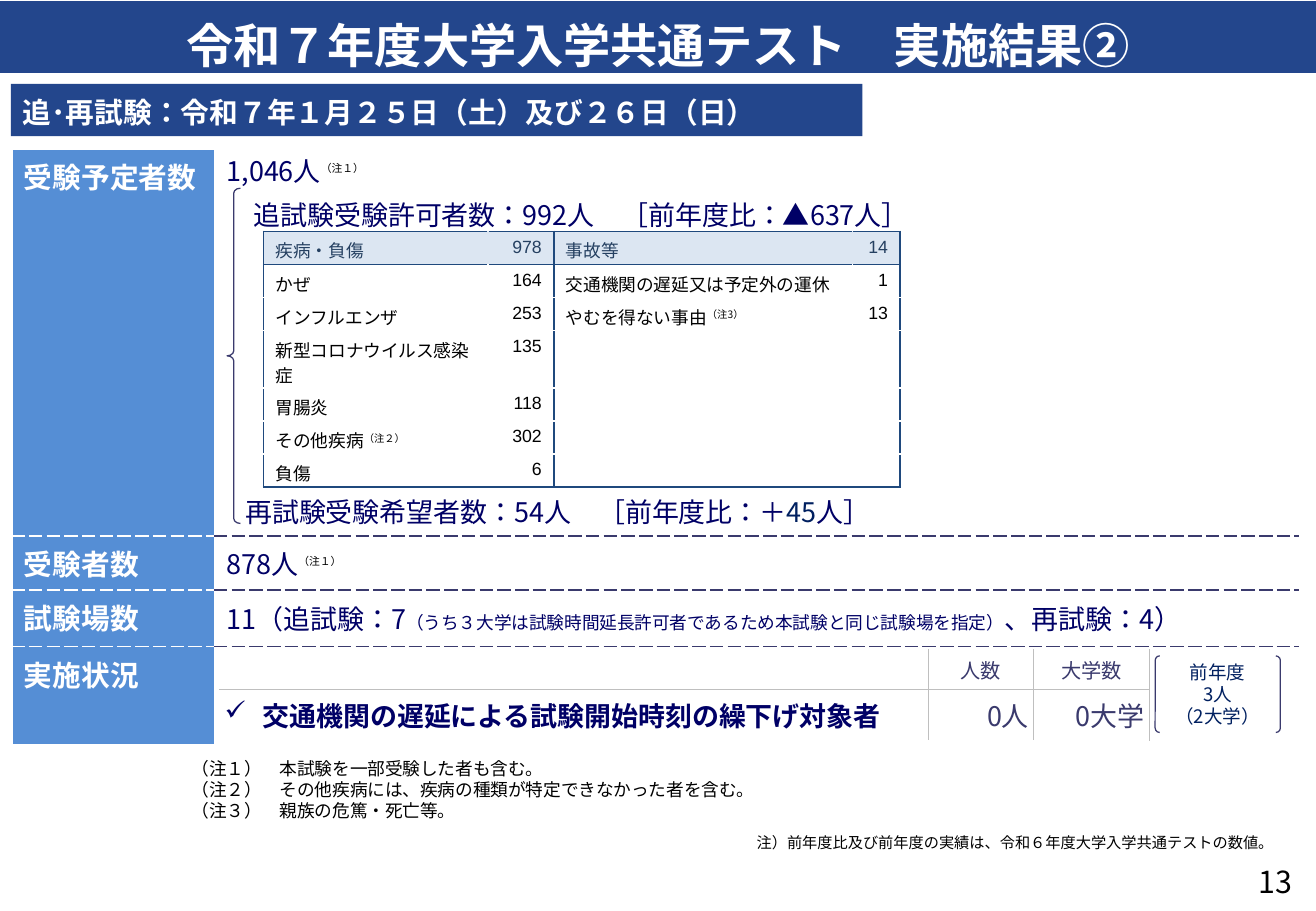
from lxml import etree
from pptx import Presentation
from pptx.dml.color import RGBColor
from pptx.enum import shapes, text
from pptx.oxml.ns import qn
from pptx.util import Pt

JP = "Noto Sans CJK JP"
NAVY, INK, BAR, BLUE = "000066", "3A3A6D", "23468C", "558ED5"
EDGE, GREY, WHITE, BLACK = "1F497D", "BFBFBF", "FFFFFF", "000000"
CENTER, RIGHT = text.PP_ALIGN.CENTER, text.PP_ALIGN.RIGHT
MIDDLE = text.MSO_ANCHOR.MIDDLE
rgb = RGBColor.from_string


def write(tf, *runs, size, color=BLACK, font=JP, bold=False, align=None,
          line=None, before=None, indent=0, hang=0, bullet=None):
    """Add one paragraph; a run is text or (text, changes)."""
    p = tf.paragraphs[0] if not tf.paragraphs[0].runs else tf.add_paragraph()
    p.alignment, p.line_spacing, p.space_before = align, line, before
    pPr = p._p.get_or_add_pPr()
    if indent:
        pPr.set("marL", str(Pt(indent)))
        pPr.set("indent", str(Pt(-hang)))
    if bullet:
        etree.SubElement(pPr, qn("a:buChar"), char=bullet)
    if not runs:
        etree.SubElement(p._p, qn("a:endParaRPr"), sz=str(int(size * 100)))
    for run in runs:
        words, change = (run, {}) if isinstance(run, str) else run
        r = p.add_run()
        r.text = words
        r.font.size = Pt(change.get("size", size))
        r.font.bold = bold
        r.font.name = change.get("font", font)
        r.font.color.rgb = rgb(change.get("color", color))
        rPr = r._r.get_or_add_rPr()
        rPr.set("lang", "ja-JP")
        etree.SubElement(rPr, qn("a:ea"), typeface=JP)
        if "base" in change:
            rPr.set("baseline", str(change["base"] * 1000))


def style_cell(cell, fill=None, width=1, dash="solid", **sides):
    """Set borders (L, R, T, B = colour), then the fill."""
    tcPr = cell._tc.get_or_add_tcPr()
    for side in "LRTB":
        if side in sides:
            ln = etree.SubElement(tcPr, qn("a:ln" + side), w=str(Pt(width)))
            solid = etree.SubElement(ln, qn("a:solidFill"))
            etree.SubElement(solid, qn("a:srgbClr"), val=sides[side])
            etree.SubElement(ln, qn("a:prstDash"), val=dash)
    if fill:
        cell.fill.solid()
        cell.fill.fore_color.rgb = rgb(fill)
    else:
        cell.fill.background()


prs = Presentation()
prs.slide_width, prs.slide_height = Pt(780), Pt(540)
s = prs.slides.add_slide(prs.slide_layouts[5])

# Title bar
title = s.shapes.title
title.left, title.top, title.width, title.height = Pt(0), Pt(0.7), Pt(780), Pt(42.5)
title.fill.solid()
title.fill.fore_color.rgb = rgb(BAR)
tf = title.text_frame
tf.vertical_anchor = text.MSO_ANCHOR.BOTTOM
tf.margin_top = tf.margin_bottom = Pt(0)
write(tf, "令和７年度大学入学共通テスト　実施結果②", size=28, color=WHITE,
      bold=True, align=CENTER)

# Tables: position, column widths, row heights
grids = []
for x, y, cols, rows in (
        (7, 88.4, (120.2, 642.3), (228.9, 31.7, 33.6, 58.3)),
        (156.2, 137.2, (133.2, 38.9, 177.1, 28.1),
         (19.6, 19.6, 19.6, 32.8, 19.6, 19.6, 19.6)),
        (130.3, 385.2, (419.8, 62.6, 68.4), (23.4, 30.4))):
    frame = s.shapes.add_table(len(rows), len(cols), Pt(x), Pt(y),
                               Pt(sum(cols)), Pt(sum(rows)))
    tbl = frame.table
    tbl.first_row = tbl.horz_banding = False
    for col, w in zip(tbl.columns, cols):
        col.width = Pt(w)
    for row, h in zip(tbl.rows, rows):
        row.height = Pt(h)
    grids.append(tbl)
main, reasons, status = grids

# Main table
for i, label in enumerate(("受験予定者数", "受験者数", "試験場数", "実施状況")):
    for j, (fill, edge) in enumerate(((BLUE, WHITE), (WHITE, INK))):
        sides = {}
        if i:
            sides["T"] = edge
        if i < 3:
            sides["B"] = edge
        style_cell(main.cell(i, j), fill, dash="dash", **sides)
    write(main.cell(i, 0).text_frame, label, size=17, color=WHITE, bold=True)
    if i in (1, 2):
        main.cell(i, 1).vertical_anchor = MIDDLE
note1 = ("（注１）", dict(size=11, color=BLACK, base=50))
body = dict(size=16, color=NAVY)
tf = main.cell(0, 1).text_frame
write(tf, "1,046人", note1, line=Pt(20), **body)
write(tf, "追試験受験許可者数：992人　［前年度比：▲637人］",
      line=Pt(20), before=Pt(6), indent=16, **body)
write(tf, "再試験受験希望者数：54人　［前年度比：＋", ("45", dict(color="002060")), "人］",
      line=Pt(20), before=Pt(156), indent=11, **body)
write(main.cell(1, 1).text_frame, "878人", note1, **body)
write(main.cell(2, 1).text_frame, "11（追試験：7",
      ("（うち３大学は試験時間延長許可者であるため本試験と同じ試験場を指定）", dict(size=10.5)),
      "、再試験：4）", **body)
write(main.cell(3, 1).text_frame, size=16)

# Reasons for the make-up test
small = dict(font=JP, base=30)
rows = (
    (["疾病・負傷"], ["978"], ["事故等"], ["14"]),
    (["かぜ"], ["164"], ["交通機関の遅延又は予定外の運休"], ["1"]),
    (["インフルエンザ"], ["253"], ["やむを得ない事由", ("（注3）", small)], ["13"]),
    (["新型コロナウイルス感染症"], ["135"], [], []),
    (["胃腸炎"], ["118"], [], []),
    (["その他疾病", ("（注２）", small)], ["302"], [], []),
    (["負傷"], ["6"], [], []),
)
for i, row in enumerate(rows):
    for j, runs in enumerate(row):
        cell = reasons.cell(i, j)
        cell.margin_bottom = Pt(0)
        inner = WHITE if i else "DCE6F2"
        style_cell(cell, None if i else "DCE6F2",
                   L=inner if j % 2 else EDGE, R=EDGE if j % 2 else inner,
                   T=EDGE if i < 2 else WHITE, B=EDGE if i in (0, 6) else WHITE)
        write(cell.text_frame, *runs, size=10.5, font="Arial",
              color=BLACK if i else "254061", align=RIGHT if j % 2 else None)

# Status table
for i, row in enumerate((("", "人数", "大学数"),
                         ("交通機関の遅延による試験開始時刻の繰下げ対象者", "0人", "0大学"))):
    for j, words in enumerate(row):
        cell = status.cell(i, j)
        cell.vertical_anchor = MIDDLE
        cell.margin_left = cell.margin_right = Pt(2.9)
        cell.margin_top = cell.margin_bottom = Pt(2.9)
        sides = dict(R=GREY, **({"T": GREY} if i else {"B": GREY}))
        if j:
            sides["L"] = GREY
        style_cell(cell, WHITE, width=0.5, **sides)
        if i and not j:
            write(cell.text_frame, words, bold=True, indent=22.5, hang=22.5,
                  bullet="✓", **body)
        else:
            write(cell.text_frame, *filter(None, [words]), size=16 if i else 12,
                  color=INK, align=RIGHT if i else CENTER)

# Brace, previous-year bracket and date bar
kinds = shapes.MSO_SHAPE
outlines = []
for kind, x, y, w, h, adj in (
        (kinds.LEFT_BRACE, 134.6, 111.6, 7.9, 198.7, 0.367),
        (kinds.DOUBLE_BRACKET, 684.7, 388.8, 74.2, 45.4, 0.059),
        (kinds.RECTANGLE, 6.5, 49.7, 504.7, 31, None)):
    sp = s.shapes.add_shape(kind, Pt(x), Pt(y), Pt(w), Pt(h))
    sp.shadow.inherit = False
    if adj:
        sp.adjustments[0] = adj
        sp.fill.background()
        sp.line.color.rgb = rgb(INK)
        sp.line.width = Pt(0.75)
    else:
        sp.fill.solid()
        sp.fill.fore_color.rgb = rgb(BAR)
        sp.line.fill.background()
    outlines.append(sp)
brace, bracket, date_bar = outlines

tf = bracket.text_frame
tf.margin_left = tf.margin_right = Pt(0)
tf.margin_top = tf.margin_bottom = Pt(2.9)
for words in ("前年度", "3人", "（2大学）"):
    write(tf, words, size=11, color="002060", align=CENTER)

tf = date_bar.text_frame
tf.margin_top, tf.margin_bottom = Pt(5.8), Pt(2.9)
write(tf, "追･再試験：令和７年１月２５日（土）及び２６日（日）", size=17,
      color=WHITE, bold=True, align=text.PP_ALIGN.LEFT)

# Notes and page number
notes = ("（注１）　本試験を一部受験した者も含む。",
         "（注２）　その他疾病には、疾病の種類が特定できなかった者を含む。",
         "（注３）　親族の危篤・死亡等。")
source_note = ("注）前年度比及び前年度の実績は、令和６年度大学入学共通テストの数値。",)
for x, y, w, h, size, hang, lines in (
        (106.6, 445.7, 396, 45.4, 10.5, 14.4, notes),
        (441.4, 490.3, 331.2, 18, 9, 14.4, source_note),
        (738.7, 508.3, 41, 28.8, 18, 0, ("13",))):
    tf = s.shapes.add_textbox(Pt(x), Pt(y), Pt(w), Pt(h)).text_frame
    tf.word_wrap = True
    for words in lines:
        write(tf, words, size=size, indent=hang, hang=hang)

prs.save("out.pptx")
